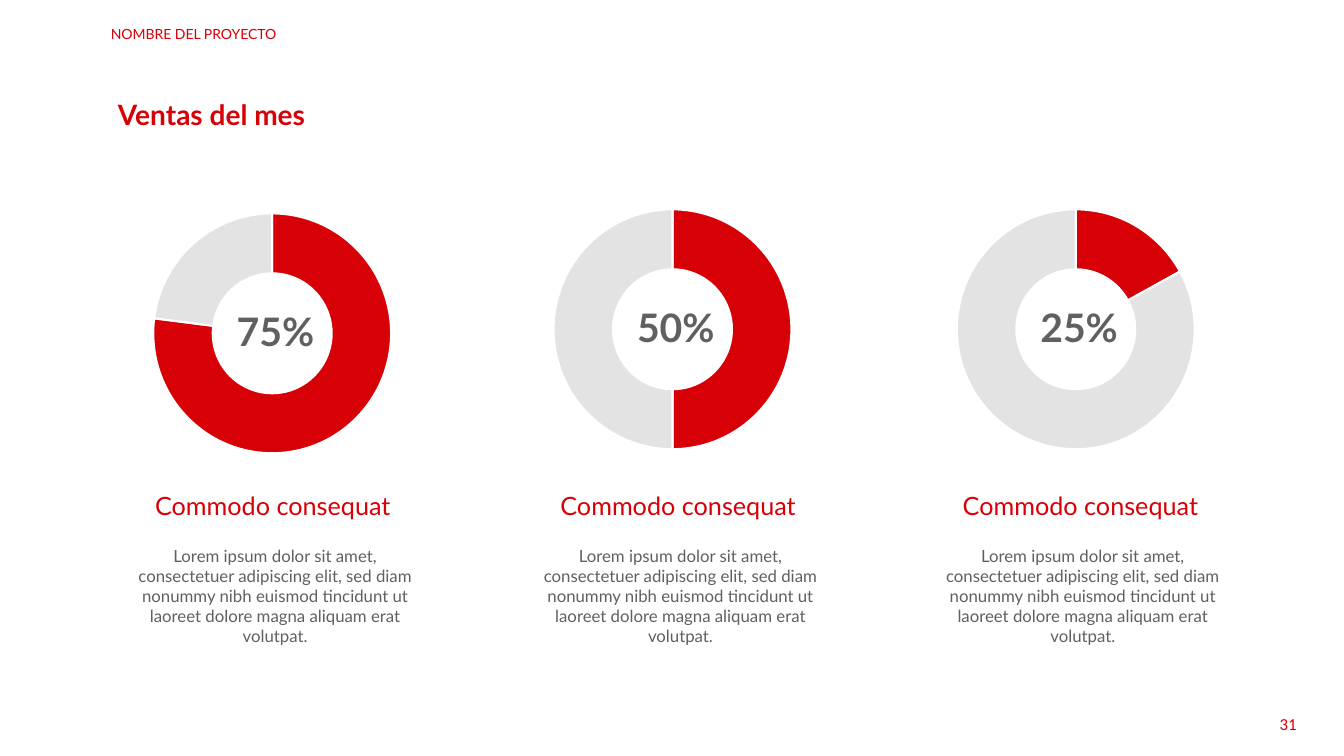
import pptx
import pptx.chart.data
import pptx.dml.color
import pptx.enum.chart
import pptx.enum.text
import pptx.oxml
import pptx.oxml.ns
import pptx.util

PX = 9144  # EMU per px, 100 px to the inch
COLORS = {"red": "D70007", "gray": "E3E3E3", "text": "606060", "white": "FFFFFF"}
ALIGN = pptx.enum.text.PP_ALIGN
ANCHOR = pptx.enum.text.MSO_ANCHOR

HEADING = "Commodo consequat"
BODY = ("Lorem ipsum dolor sit amet, consectetuer adipiscing elit, sed diam nonummy "
        "nibh euismod tincidunt ut laoreet dolore magna aliquam erat volutpat.")
# Column left and top, ring offset in the column, ring share, label
SALES = [
    ((116, 206), (35, 4), 77, "75%"),
    ((518, 206), (30, 0), 50, "50%"),
    ((917, 206), (31, 0), 17, "25%"),
]
RING_SIZE = (238, 244)
LAYOUT = (
    f'<c:layout {pptx.oxml.ns.nsdecls("c")}><c:manualLayout>'
    '<c:layoutTarget val="inner"/><c:xMode val="edge"/><c:yMode val="edge"/>'
    '<c:x val="0"/><c:y val="0"/><c:w val="1"/><c:h val="0.99"/>'
    '</c:manualLayout></c:layout>'
)


def emu(box):
    return [pptx.util.Emu(length * PX) for length in box]


def rgb(name):
    return pptx.dml.color.RGBColor.from_string(COLORS[name])


def write_text(shape, text, size, color="red", name="Lato", bold=False,
               align=ALIGN.LEFT, anchor=ANCHOR.TOP,
               fit=pptx.enum.text.MSO_AUTO_SIZE.SHAPE_TO_FIT_TEXT):
    frame = shape.text_frame
    for key, value in {"word_wrap": True, "auto_size": fit,
                       "vertical_anchor": anchor}.items():
        setattr(frame, key, value)
    para = frame.paragraphs[0]
    para.alignment = align
    span = para.add_run()
    span.text = text
    for key, value in {"size": pptx.util.Pt(size), "name": name, "bold": bold}.items():
        setattr(span.font, key, value)
    span.font.color.rgb = rgb(color)


def add_text(page, box, text, size, **style):
    write_text(page.shapes.add_textbox(*emu(box)), text, size, **style)


def add_ring(page, box, share):
    data = pptx.chart.data.CategoryChartData()
    data.categories = ["1", "2"]
    data.add_series("Series 1", (share, 100 - share))
    kind = pptx.enum.chart.XL_CHART_TYPE.DOUGHNUT
    chart = page.shapes.add_chart(kind, *emu(box), data).chart
    for key, value in {"has_legend": False, "has_title": False}.items():
        setattr(chart, key, value)
    for key, value in {"name": "Calibri", "size": pptx.util.Pt(10)}.items():
        setattr(chart.font, key, value)
    plot = chart.plots[0]
    plot.vary_by_categories = True
    for index, color in enumerate(("red", "gray")):
        slice_format = plot.series[0].points[index].format
        slice_format.fill.solid()
        slice_format.fill.fore_color.rgb = rgb(color)
        slice_format.line.color.rgb = rgb("white")
        slice_format.line.width = pptx.util.Pt(1.5)

    # Hole size and plot area filling the frame
    chart.element.xpath(".//c:holeSize")[0].set("val", "65")
    area = chart.element.xpath(".//c:plotArea")[0]
    for layout in area.xpath("./c:layout"):
        area.remove(layout)
    area.insert(0, pptx.oxml.parse_xml(LAYOUT))


def add_header(page, box):
    left, top = box
    add_text(page, (left, top, 229, 27), "NOMBRE DEL PROYECTO", 10)
    title = page.shapes.title
    edges = emu((left + 7, top + 72, 375, 44))
    for key, value in zip(("left", "top", "width", "height"), edges):
        setattr(title, key, value)
    write_text(title, "Ventas del mes", 20, bold=True)


def add_column(page, box, ring_offset, share, label):
    left, top = box
    ring_left, ring_top = left + ring_offset[0], top + ring_offset[1]
    add_ring(page, (ring_left, ring_top, *RING_SIZE), share)
    add_text(page, (ring_left + 74, ring_top + 90, 100, 57), label, 28,
             color="text", bold=True)
    add_text(page, (left + 28, top + 276, 271, 40), HEADING, 18)
    add_text(page, (left, top + 330, 314, 91), BODY, 12, color="text",
             align=ALIGN.CENTER)


def add_page_number(page, box):
    add_text(page, box, "31", 12, name="Calibri", align=ALIGN.RIGHT,
             anchor=ANCHOR.MIDDLE, fit=pptx.enum.text.MSO_AUTO_SIZE.NONE)


def main():
    deck = pptx.Presentation()
    deck.slide_width, deck.slide_height = emu((1333, 750))
    page = deck.slides.add_slide(deck.slide_layouts[5])  # title only
    add_header(page, (100, 20))
    for column in SALES:
        add_column(page, *column)
    add_page_number(page, (996, 698, 300, 40))
    deck.save("out.pptx")


if __name__ == "__main__":
    main()
